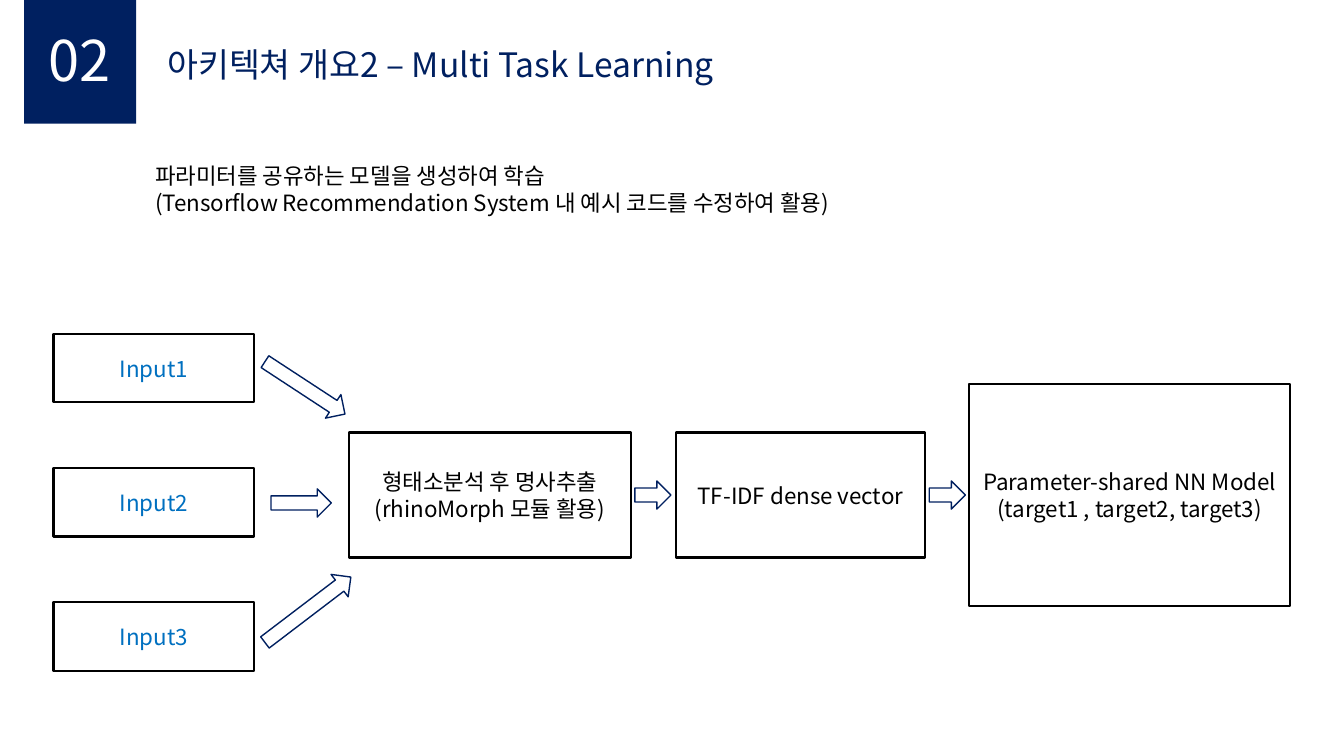
from pptx import Presentation
from pptx import util as u
from pptx.dml.color import RGBColor
from pptx.enum import shapes, text
from pptx.oxml import ns
from lxml import etree

COLOURS = {"navy": "002060", "blue": "0070C0", "black": "000000", "white": "FFFFFF"}


class SlideBuilder:
    """Holds the slide and its style."""

    font_name = "Noto Sans CJK KR"

    def __init__(self, slide):
        self.slide = slide

    def colour(self, name):
        return RGBColor.from_string(COLOURS[name])

    def set_text(self, frame, lines, size, colour, align=text.PP_ALIGN.LEFT,
                 anchor=text.MSO_ANCHOR.TOP):
        frame.word_wrap = True
        frame.auto_size = text.MSO_AUTO_SIZE.NONE
        frame.vertical_anchor = anchor
        for index, line in enumerate(lines):
            paragraph = frame.add_paragraph() if index else frame.paragraphs[0]
            paragraph.text = line
            paragraph.alignment = align
            font = paragraph.font
            font.size, font.name = u.Pt(size), self.font_name
            font.color.rgb = self.colour(colour)
            # Korean letters take the East Asian typeface
            properties = paragraph._p.find(".//" + ns.qn("a:defRPr"))
            etree.SubElement(properties, ns.qn("a:ea"), typeface=self.font_name)

    def title(self, place, line):
        shape = self.slide.shapes.title
        shape.left, shape.top, shape.width, shape.height = map(u.Cm, place)
        self.set_text(shape.text_frame, [line], 24, "navy")

    def label(self, place, lines, size, colour):
        shape = self.slide.shapes.add_textbox(*map(u.Cm, place))
        self.set_text(shape.text_frame, lines, size, colour)

    def shape(self, kind, place, fill=None, line=None, width=1):
        shape = self.slide.shapes.add_shape(kind, *map(u.Cm, place))
        shape.shadow.inherit = False
        if fill:
            shape.fill.solid()
            shape.fill.fore_color.rgb = self.colour(fill)
        else:
            shape.fill.background()
        if line:
            shape.line.color.rgb = self.colour(line)
            shape.line.width = u.Pt(width)
        else:
            shape.line.fill.background()
        return shape

    def box(self, place, lines, colour="black"):
        shape = self.shape(shapes.MSO_SHAPE.RECTANGLE, place, line="black", width=1.5)
        frame = shape.text_frame
        frame.margin_left = frame.margin_right = u.Cm(0.1)
        self.set_text(frame, lines, 16, colour, text.PP_ALIGN.CENTER, text.MSO_ANCHOR.MIDDLE)

    def arrow(self, left, top, width, rotation=0):
        shape = self.shape(shapes.MSO_SHAPE.RIGHT_ARROW, (left, top, width, 0.71), line="navy")
        shape.rotation = rotation


def main():
    presentation = Presentation()
    presentation.slide_width, presentation.slide_height = u.Cm(33.87), u.Cm(19.05)
    builder = SlideBuilder(presentation.slides.add_slide(presentation.slide_layouts[5]))

    # Heading
    builder.title((3.96, 0.97, 14.58, 1.27), "아키텍쳐 개요2 – Multi Task Learning")
    builder.shape(shapes.MSO_SHAPE.RECTANGLE, (0.61, 0, 2.82, 3.12), fill="navy")
    builder.label((0.97, 0.53, 2.44, 1.96), ["02"], 40, "white")

    # Summary
    builder.label((3.66, 3.96, 19.99, 1.63),
                  ["파라미터를 공유하는 모델을 생성하여 학습",
                   "(Tensorflow Recommendation System 내 예시 코드를 수정하여 활용)"],
                  16, "black")

    # Inputs
    for index in range(3):
        builder.box((1.35, 8.41 + 3.38 * index, 5.05, 1.73), [f"Input{index + 1}"], "blue")

    # Processing steps
    builder.box((8.79, 10.9, 7.11, 3.15), ["형태소분석 후 명사추출", "(rhinoMorph 모듈 활용)"])
    builder.box((17.04, 10.9, 6.27, 3.15), ["TF-IDF dense vector"])
    builder.box((24.43, 9.68, 8.08, 5.59),
                ["Parameter-shared NN Model", "(target1 , target2, target3)"])

    # Arrows from the inputs, then between the steps
    builder.arrow(6.48, 9.42, 2.41, 33.2)
    builder.arrow(6.83, 12.32, 1.52)
    builder.arrow(6.4, 15.01, 2.72, 322.7)
    for left in (16, 23.42):
        builder.arrow(left, 12.12, 0.91)

    presentation.save("out.pptx")


if __name__ == "__main__":
    main()
